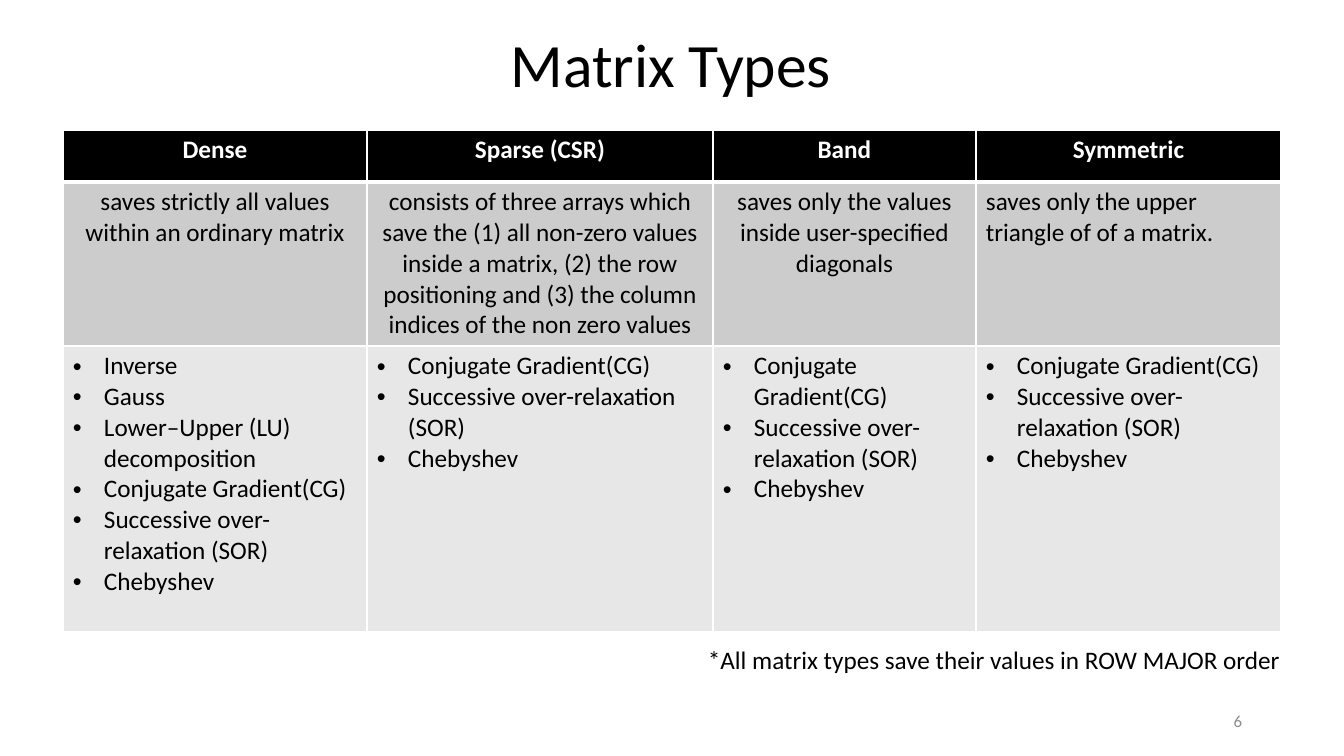
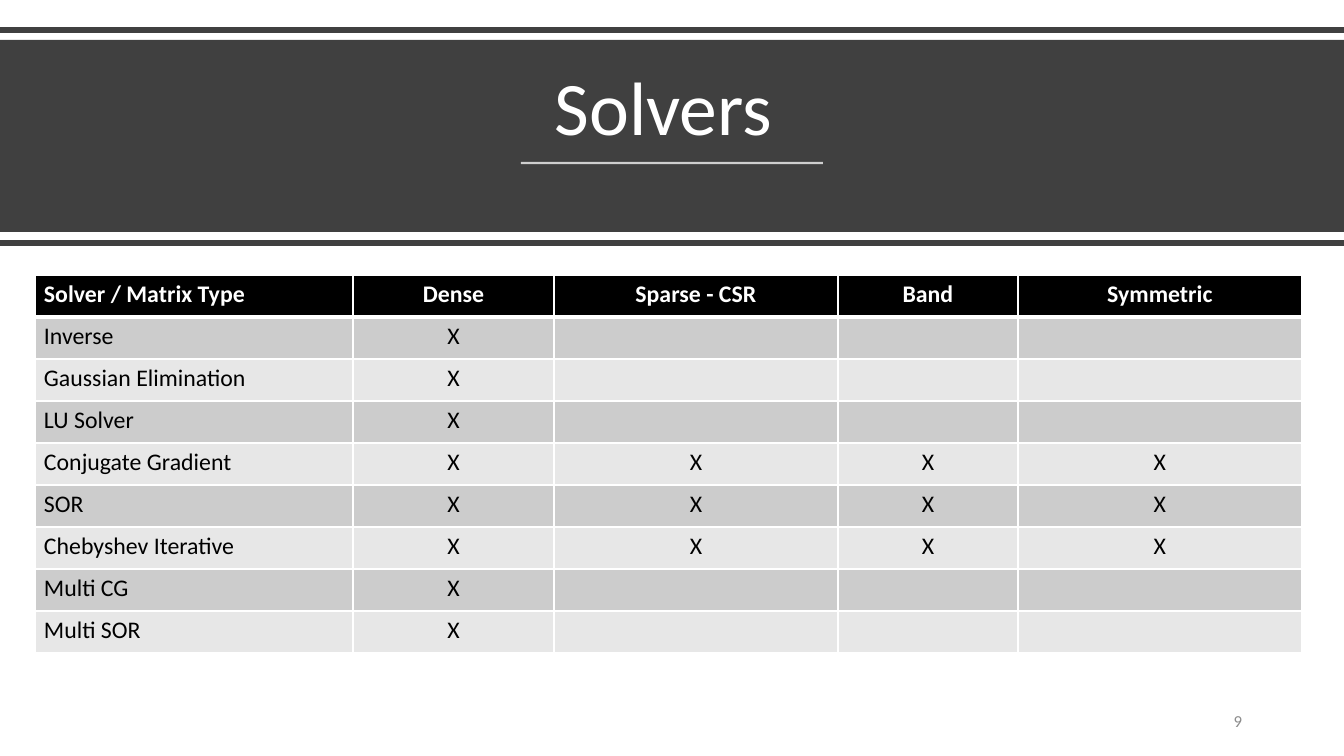
from lxml.etree import SubElement
from pptx import Presentation
from pptx.dml.color import RGBColor
from pptx.enum.shapes import MSO_CONNECTOR, MSO_SHAPE
from pptx.enum.text import MSO_ANCHOR, PP_ALIGN
from pptx.oxml.ns import qn
from pptx.util import Pt

SCALE = 914400 / 100.8
WIDTH, HEIGHT = 1344, 756
FONT = "Calibri"
COLORS = {
    "white": "FFFFFF",
    "black": "000000",
    "band": "404040",
    "number": "8C8C8C",
    "odd_row": "CCCCCC",
    "even_row": "E7E7E7",
}
LEFT, CENTER, RIGHT = PP_ALIGN.LEFT, PP_ALIGN.CENTER, PP_ALIGN.RIGHT
BULLET_INDENT = 31

ITERATIVE = ["Conjugate Gradient(CG)", "Successive over-relaxation (SOR)", "Chebyshev"]
MATRIX_TYPES = [
    ("Dense", "saves strictly all values within an ordinary matrix", CENTER,
     ["Inverse", "Gauss", "Lower–Upper (LU) decomposition"] + ITERATIVE),
    ("Sparse (CSR)", "consists of three arrays which save the (1) all non-zero values inside a matrix, "
     "(2) the row positioning and (3) the column indices of the non zero values", CENTER, ITERATIVE),
    ("Band", "saves only the values inside user-specified diagonals", CENTER, ITERATIVE),
    ("Symmetric", "saves only the upper triangle of of a matrix.", LEFT, ITERATIVE),
]
FOOTNOTE = "*All matrix types save their values in ROW MAJOR order"

SOLVER_HEADER = ["Solver / Matrix Type", "Dense", "Sparse - CSR", "Band", "Symmetric"]
SOLVERS = [
    ("Inverse", 1),
    ("Gaussian Elimination", 1),
    ("LU Solver", 1),
    ("Conjugate Gradient", 4),
    ("SOR", 4),
    ("Chebyshev Iterative", 4),
    ("Multi CG", 1),
    ("Multi SOR", 1),
]


def px(value):
    """Turn pixels into EMU."""
    return round(value * SCALE)


def rgb(name):
    """Look up a named colour."""
    return RGBColor.from_string(COLORS[name])


def write(para, text, size, color="black", align=LEFT, bold=False):
    """Add one styled run to a paragraph."""
    para.alignment = align
    span = para.add_run()
    span.text = text
    span.font.name = FONT
    span.font.size = Pt(size)
    span.font.bold = bold
    span.font.color.rgb = rgb(color)


def add_text(page, area, text, size, color="black", align=LEFT, anchor=MSO_ANCHOR.TOP):
    """Place a text box and return its paragraph."""
    frame = page.shapes.add_textbox(*map(px, area)).text_frame
    frame.word_wrap = True
    frame.vertical_anchor = anchor
    para = frame.paragraphs[0]
    write(para, text, size, color, align)
    return para


def add_title(page, area, text, size, color, anchor):
    """Place a slide title."""
    add_text(page, area, text, size, color, CENTER, anchor).line_spacing = 0.9


def add_number(page, number):
    """Place the page number."""
    add_text(page, (950, 701, 302, 40), str(number), 12, "number", RIGHT, MSO_ANCHOR.MIDDLE)


def add_rule(page, left, right, y, color, weight, opacity=100):
    """Draw a horizontal line."""
    rule = page.shapes.add_connector(MSO_CONNECTOR.STRAIGHT, px(left), px(y), px(right), px(y))
    rule.line.color.rgb = rgb(color)
    rule.line.width = Pt(weight)
    properties = rule._element.spPr
    SubElement(properties, qn("a:effectLst"))
    if opacity < 100:
        tint = next(properties.iter(qn("a:srgbClr")))
        SubElement(tint, qn("a:alpha"), val=str(opacity * 1000))


def add_bullet(para):
    """Give a paragraph a hanging bullet."""
    properties = para._p.get_or_add_pPr()
    properties.set("marL", str(px(BULLET_INDENT)))
    properties.set("indent", str(-px(BULLET_INDENT)))
    SubElement(properties, qn("a:buFont"), typeface="Arial")
    SubElement(properties, qn("a:buChar"), char="•")


def add_borders(cell, row):
    """Draw white cell edges, thicker below the header."""
    weights = {"L": 1, "R": 1, "T": 3 if row == 1 else 1, "B": 3 if row == 0 else 1}
    properties = cell._tc.get_or_add_tcPr()
    for side, weight in weights.items():
        edge = SubElement(properties, qn("a:ln" + side), w=str(Pt(weight)))
        fill = SubElement(edge, qn("a:solidFill"))
        SubElement(fill, qn("a:srgbClr"), val=COLORS["white"])


def add_grid(page, left, top, widths, heights, rows, size, inset):
    """Build a table from rows of (lines, alignment, bulleted) cells."""
    area = (left, top, sum(widths), sum(heights))
    table = page.shapes.add_table(len(rows), len(widths), *map(px, area)).table
    table.horz_banding = False
    for column, width in zip(table.columns, widths):
        column.width = px(width)
    for line, height in zip(table.rows, heights):
        line.height = px(height)
    for row, contents in enumerate(rows):
        header = row == 0
        shade = "black" if header else ("even_row", "odd_row")[row % 2]
        for column, (lines, align, bulleted) in enumerate(contents):
            cell = table.cell(row, column)
            cell.margin_left = cell.margin_right = px(inset)
            cell.margin_top = cell.margin_bottom = px(5)
            add_borders(cell, row)
            cell.fill.solid()
            cell.fill.fore_color.rgb = rgb(shade)
            frame = cell.text_frame
            for index, text in enumerate(lines):
                para = frame.add_paragraph() if index else frame.paragraphs[0]
                if bulleted:
                    add_bullet(para)
                write(para, text, size, "white" if header else "black", align, header)


def build_matrix_types(page):
    """Build the matrix types slide."""
    rows = [
        [([name], CENTER, False) for name, _, _, _ in MATRIX_TYPES],
        [([summary], align, False) for _, summary, align, _ in MATRIX_TYPES],
        [(solvers, LEFT, True) for _, _, _, solvers in MATRIX_TYPES],
    ]
    add_grid(page, 63, 130, [304, 346, 263, 305], [52, 164, 286], rows, 18, 10)
    add_title(page, (313, 15, 716, 105), "Matrix Types", 44, "black", MSO_ANCHOR.MIDDLE)
    add_text(page, (698, 639, 604, 41), FOOTNOTE, 18)
    add_number(page, 6)


def build_solvers(page):
    """Build the solvers slide."""
    add_rule(page, 0, WIDTH, 30, "band", 4)
    band = page.shapes.add_shape(MSO_SHAPE.RECTANGLE, *map(px, (0, 40, WIDTH, 192)))
    band.shadow.inherit = False
    band.fill.solid()
    band.fill.fore_color.rgb = rgb("band")
    band.line.fill.background()
    add_title(page, (58, 54, 1228, 103), "Solvers ", 54, "white", MSO_ANCHOR.BOTTOM)
    add_rule(page, 521, 823, 163, "white", 1.5, 75)
    add_rule(page, 0, WIDTH, 243, "band", 4)
    types = len(SOLVER_HEADER) - 1
    texts = [SOLVER_HEADER]
    texts += [[name] + ["X"] * count + [""] * (types - count) for name, count in SOLVERS]
    rows = [
        [([text] if text else [], CENTER if column else LEFT, False) for column, text in enumerate(line)]
        for line in texts
    ]
    add_grid(page, 35, 275, [318, 201, 284, 180, 284], [42] * len(rows), rows, 17, 9)
    add_number(page, 9)


def main():
    """Build and save the deck."""
    deck = Presentation()
    deck.slide_width, deck.slide_height = px(WIDTH), px(HEIGHT)
    for build in (build_matrix_types, build_solvers):
        build(deck.slides.add_slide(deck.slide_layouts[6]))
    deck.save("out.pptx")


if __name__ == "__main__":
    main()
